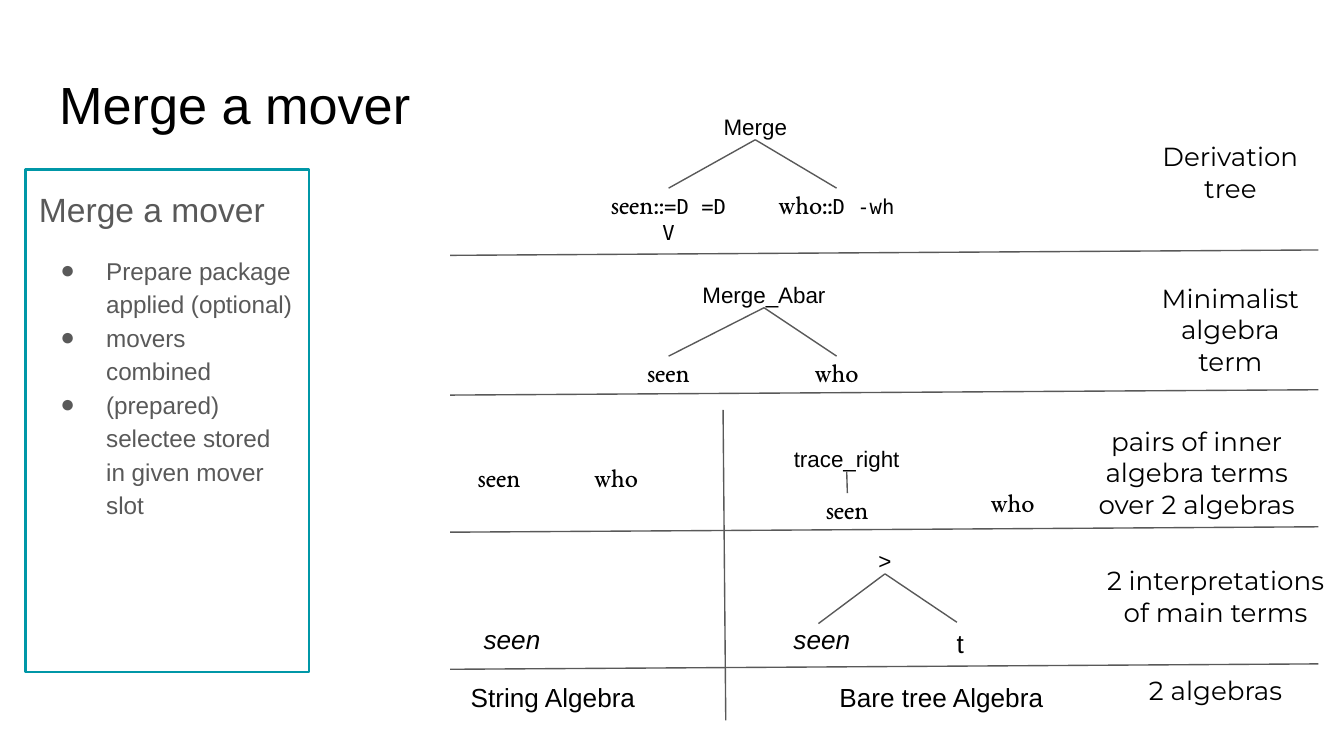
import pptx
import pptx.util
import pptx.dml.color
import pptx.enum.shapes
import pptx.enum.text
import pptx.oxml
import pptx.oxml.ns
from lxml import etree

PX = 9144  # 100 px to the inch
BLACK = pptx.dml.color.RGBColor(0x00, 0x00, 0x00)
GREY = pptx.dml.color.RGBColor(0x59, 0x59, 0x59)
TEAL = pptx.dml.color.RGBColor(0x00, 0x97, 0xA7)
ALIGN = pptx.enum.text.PP_ALIGN
ANCHOR = pptx.enum.text.MSO_ANCHOR
FIT = pptx.enum.text.MSO_AUTO_SIZE
BOTTOM, TOP = 2, 0

LABEL = {"name": "Arial", "size": 12}
ALGEBRA = {"name": "Arial", "size": 14}
SPOKEN = {"name": "Arial", "size": 14, "italic": True}
WORD = {"name": "EB Garamond", "size": 14}
FEATURE = {"name": "DejaVu Sans Mono", "size": 11}
CAPTION = {"name": "Montserrat", "size": 14}


def emu(*px):
    return [pptx.util.Emu(v * PX) for v in px]


def add_run(p, text, fmt, color=BLACK):
    r = p.add_run()
    r.text = text
    for key, value in fmt.items():
        setattr(r.font, key, pptx.util.Pt(value) if key == "size" else value)
    r.font.color.rgb = color


def set_frame(tf, inset_y=10, anchor=ANCHOR.TOP, fit=FIT.NONE):
    inset, inset_y = emu(10, inset_y)
    values = {"word_wrap": True, "auto_size": fit, "vertical_anchor": anchor,
              "margin_left": inset, "margin_right": inset,
              "margin_top": inset_y, "margin_bottom": inset_y}
    for key, value in values.items():
        setattr(tf, key, value)


def add_text(s, box, runs, align=ALIGN.CENTER, **frame):
    sp = s.shapes.add_textbox(*emu(*box))
    set_frame(sp.text_frame, **frame)
    p = sp.text_frame.paragraphs[0]
    p.alignment = align
    for text, fmt in runs:
        add_run(p, text, fmt)
    return sp


def add_node(s, box, runs):
    return add_text(s, box, runs, inset_y=0, fit=FIT.SHAPE_TO_FIT_TEXT)


def add_line(s, x1, y1, x2, y2):
    line = s.shapes.add_connector(pptx.enum.shapes.MSO_CONNECTOR.STRAIGHT,
                                  *emu(x1, y1, x2, y2))
    line.line.color.rgb = GREY
    line.line.width = pptx.util.Pt(0.75)
    etree.SubElement(line._element.spPr, pptx.oxml.ns.qn("a:effectLst"))
    return line


def add_tree(s, x, y, root, leaves):
    """Root is (box, text); a leaf is (box, runs, end).

    The end of a branch is "join", a point, or None for no branch.
    """
    (rx, ry, rw, rh), text = root
    top = add_node(s, (x + rx, y + ry, rw, rh), [(text, LABEL)])
    for (lx, ly, lw, lh), runs, end in leaves:
        leaf = add_node(s, (x + lx, y + ly, lw, lh), runs)
        if end is None:
            continue
        ex, ey = (lx, ly) if end == "join" else end
        branch = add_line(s, x + rx, y + rh, x + ex, y + ey)
        branch.begin_connect(top, BOTTOM)
        if end == "join":
            branch.end_connect(leaf, TOP)


def fill_title(s, box, text):
    sp = s.shapes.title
    sp.left, sp.top, sp.width, sp.height = emu(*box)
    set_frame(sp.text_frame)
    p = sp.text_frame.paragraphs[0]
    p.alignment = ALIGN.LEFT
    p.line_spacing = 0.9
    add_run(p, text, {"name": "Arial", "size": 28})


def set_bullet(p, left, indent, char=None):
    pPr = p._p.get_or_add_pPr()
    pPr.set("marL", str(left * PX))
    pPr.set("indent", str(indent * PX))
    if char is None:
        etree.SubElement(pPr, pptx.oxml.ns.qn("a:buNone"))
        return
    color = etree.SubElement(pPr, pptx.oxml.ns.qn("a:buClr"))
    etree.SubElement(color, pptx.oxml.ns.qn("a:srgbClr"), val=str(GREY))
    etree.SubElement(pPr, pptx.oxml.ns.qn("a:buFont"), typeface="Arial")
    etree.SubElement(pPr, pptx.oxml.ns.qn("a:buChar"), char=char)


def fill_panel(s, box, heading, items):
    sp = s.placeholders[1]
    sp.left, sp.top, sp.width, sp.height = emu(*box)
    sp.line.color.rgb = TEAL
    sp.line.width = pptx.util.Pt(1.5)
    tf = sp.text_frame
    set_frame(tf)
    for i, text in enumerate([heading] + items):
        p = tf.paragraphs[0] if i == 0 else tf.add_paragraph()
        p.alignment = ALIGN.LEFT
        p.line_spacing = 1.15
        p.space_before = pptx.util.Pt(12 if i == 1 else 0)
        add_run(p, text, {"name": "Arial", "size": 13 if i else 18}, GREY)
        if i:
            set_bullet(p, 50, -34, "●")
        else:
            set_bullet(p, 0, 0)


def add_rules(s, x, w):
    for y in (190, 294, 396, 498):
        add_line(s, x, y, x + w, y - 4)
    # Divider between the two algebras
    add_line(s, x + 205, 536, x + 203, 305)


def add_captions(s):
    captions = [((845, 92, 141, 72), "Derivation tree"),
                ((845, 209, 141, 72), "Minimalist algebra term"),
                ((795, 303, 191, 97),
                 "pairs of inner algebra terms over 2 algebras"),
                ((809, 417, 191, 53), "2 interpretations of main terms"),
                ((809, 487, 191, 53), "2 algebras")]
    for box, text in captions:
        add_text(s, box, [(text, CAPTION)], anchor=ANCHOR.MIDDLE)


def add_trees(s):
    seen, who = [("seen", WORD)], [("who", WORD)]
    # Derivation tree
    add_tree(s, 437, 84, ((71, 0, 108, 20), "Merge"), [
        ((0, 56, 121, 42), [("seen::", WORD), ("=D =D V", FEATURE)], "join"),
        ((123, 56, 125, 23), [("who::", WORD), ("D -wh", FEATURE)], "join")])
    # Minimalist algebra term
    add_tree(s, 437, 209, ((71, 0, 121, 20), "Merge_Abar"), [
        ((0, 56, 121, 23), seen, "join"),
        ((123, 56, 125, 23), who, "join")])
    # Pair of inner terms
    add_node(s, (311, 343, 121, 23), seen)
    add_node(s, (396, 343, 125, 23), who)
    add_tree(s, 570, 331, ((6, 0, 108, 20), "trace_right"), [
        ((0, 36, 121, 23), seen, "join"),
        ((121, 31, 125, 23), who, None)])
    # Interpretations
    add_text(s, (350, 454, 150, 33), [("seen", SPOKEN)], ALIGN.LEFT)
    add_tree(s, 549, 407, ((49, 0, 121, 20), ">"), [
        ((0, 57, 125, 23), [("seen", SPOKEN)], (60, 57)),
        ((146, 60, 39, 24), [("t", ALGEBRA)], (163, 56))])
    # Algebra names
    for x, name in ((295, "String Algebra"), (584, "Bare tree Algebra")):
        add_text(s, (x, 497, 233, 42), [(name, ALGEBRA)])


def main():
    prs = pptx.Presentation()
    prs.slide_width = pptx.util.Emu(1000 * PX)
    prs.slide_height = pptx.util.Emu(prs.slide_width * 9 // 16)
    s = prs.slides.add_slide(prs.slide_layouts[1])
    fill_title(s, (34, 49, 932, 63), "Merge a mover")
    fill_panel(s, (19, 126, 211, 374), "Merge a mover", [
        "Prepare package applied (optional)",
        "movers combined",
        "(prepared) selectee stored in given mover slot"])
    add_trees(s)
    add_captions(s)
    add_rules(s, 335, 646)
    prs.save("out.pptx")


if __name__ == "__main__":
    main()
